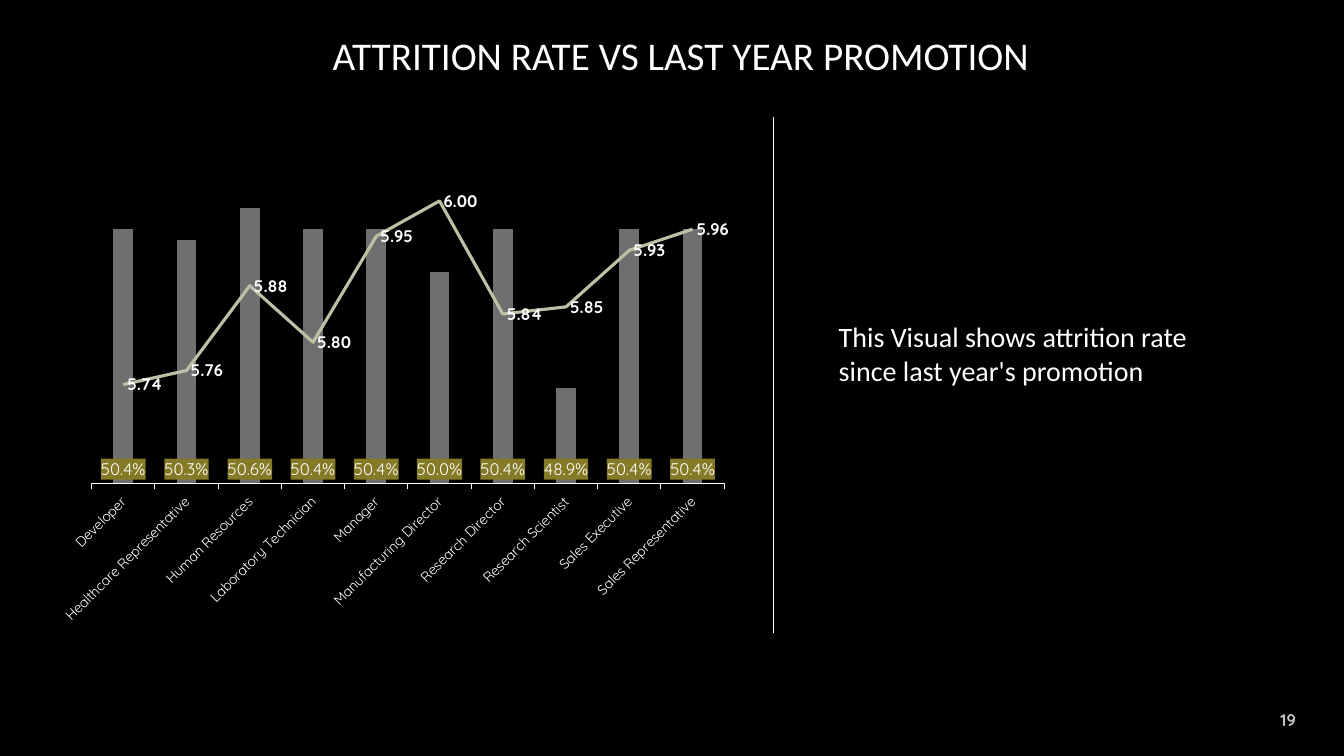
"""Builds a slide that sets attrition rate against last year's promotion."""
import pptx
import pptx.chart.data
import pptx.dml.color
import pptx.enum.chart
import pptx.enum.shapes
import pptx.enum.text
import pptx.oxml
import pptx.oxml.ns
import pptx.util

Inches, Pt = pptx.util.Inches, pptx.util.Pt
kinds = pptx.enum.chart
anchor, align = pptx.enum.text.MSO_ANCHOR, pptx.enum.text.PP_ALIGN
qn = pptx.oxml.ns.qn
names = pptx.oxml.ns.nsdecls("c", "a")
hues = {"back": "000000", "text": "FFFFFF", "page": "BFBFBF",
        "bar": "6F6F6F", "line": "BFBFA5", "label": "857A26"}


def tint(name):
    return pptx.dml.color.RGBColor.from_string(hues[name])


def style(font, face, size, hue="text", bold=False):
    looks = {"name": face, "size": Pt(size), "bold": bold}
    for key, value in looks.items():
        setattr(font, key, value)
    font.color.rgb = tint(hue)


deck = pptx.Presentation()
deck.slide_width, deck.slide_height = Inches(13.33), Inches(7.5)
slide = deck.slides.add_slide(deck.slide_layouts[6])
slide.background.fill.solid()
slide.background.fill.fore_color.rgb = tint("back")

texts = [
    ("ATTRITION RATE VS LAST YEAR PROMOTION", (3.2, 0.36, 7.44, 0.8), 0,
     anchor.TOP, align.LEFT, 0.9, ("Calibri", 28)),
    ("This Visual shows attrition rate since last year's promotion", (8.22, 3.12, 4.12, 1.2), 0.05,
     anchor.TOP, align.LEFT, 1, ("Calibri", 20)),
    ("19", (12.35, 6.94, 0.6, 0.4), 0.05,
     anchor.MIDDLE, align.RIGHT, 1, ("Quicksand", 12, "page", True)),
]
for words, place, inset, stand, side, gap, look in texts:
    frame = slide.shapes.add_textbox(*map(Inches, place)).text_frame
    frame.word_wrap = True
    frame.margin_top = Inches(inset)
    frame.vertical_anchor = stand
    para = frame.paragraphs[0]
    para.alignment, para.line_spacing = side, gap
    run = para.add_run()
    run.text = words
    style(run.font, *look)

rule = slide.shapes.add_connector(pptx.enum.shapes.MSO_CONNECTOR.STRAIGHT,
                                  Inches(7.67), Inches(1.16), Inches(7.67), Inches(6.28))
rule.line.color.rgb = tint("text")
rule.line.width = Pt(0.75)
rule._element.spPr.append(pptx.oxml.parse_xml(f"<a:effectLst {names}/>"))

data = pptx.chart.data.CategoryChartData()
data.categories = ["Developer", "Healthcare Representative", "Human Resources",
                   "Laboratory Technician", "Manager", "Manufacturing Director",
                   "Research Director", "Research Scientist", "Sales Executive",
                   "Sales Representative"]
data.add_series("Series 1", [0.504, 0.503, 0.506, 0.504, 0.504,
                             0.5, 0.504, 0.489, 0.504, 0.504], "0.0%")
data.add_series("Series 2", [5.74, 5.76, 5.88, 5.8, 5.95, 6, 5.84, 5.85, 5.93, 5.96], "0.00")
chart = slide.shapes.add_chart(kinds.XL_CHART_TYPE.COLUMN_CLUSTERED, Inches(0.5), Inches(1.5),
                               Inches(6.82), Inches(4.78), data).chart
chart.has_legend = chart.has_title = False
style(chart.font, "Quicksand", 12)

base = chart.category_axis
base.major_tick_mark = kinds.XL_TICK_MARK.OUTSIDE
base.tick_label_position = kinds.XL_TICK_LABEL_POSITION.LOW
base.format.line.color.rgb = tint("text")
base.format.line.width = Pt(0.75)
style(base.tick_labels.font, "Quicksand", 10)
base._element.find(qn("c:txPr")).find(qn("a:bodyPr")).set("rot", "-2700000")

scale = chart.value_axis
limits = {"minimum_scale": 0.48, "maximum_scale": 0.51, "major_unit": 0.005,
          "has_major_gridlines": False, "major_tick_mark": kinds.XL_TICK_MARK.OUTSIDE,
          "tick_label_position": kinds.XL_TICK_LABEL_POSITION.NONE}
for key, value in limits.items():
    setattr(scale, key, value)
scale.format.line.fill.background()

area = chart._chartSpace.chart.plotArea
for old in area.findall(qn("c:layout")):
    area.remove(old)
area.insert(0, pptx.oxml.parse_xml(
    f'<c:layout {names}><c:manualLayout><c:layoutTarget val="inner"/>'
    '<c:xMode val="edge"/><c:yMode val="edge"/><c:x val="0.06"/><c:y val="0.03"/>'
    '<c:w val="0.92"/><c:h val="0.66"/></c:manualLayout></c:layout>'))

bars = area.find(qn("c:barChart"))
trend = bars.findall(qn("c:ser"))[1]
for flag in trend.findall(qn("c:invertIfNegative")):
    trend.remove(flag)
lines = pptx.oxml.parse_xml(
    f'<c:lineChart {names}><c:grouping val="standard"/><c:varyColors val="0"/>'
    '<c:marker val="1"/><c:axId val="501"/><c:axId val="502"/></c:lineChart>')
lines.insert(2, trend)
bars.addnext(lines)
extra = [
    f'<c:valAx {names}><c:axId val="502"/><c:scaling><c:orientation val="minMax"/>'
    '<c:max val="6.05"/><c:min val="5.6"/></c:scaling><c:delete val="0"/><c:axPos val="r"/>'
    '<c:numFmt formatCode="0.00" sourceLinked="0"/><c:majorTickMark val="out"/>'
    '<c:minorTickMark val="none"/><c:tickLblPos val="none"/>'
    '<c:spPr><a:ln><a:noFill/></a:ln></c:spPr><c:crossAx val="501"/>'
    '<c:crosses val="max"/></c:valAx>',
    f'<c:catAx {names}><c:axId val="501"/><c:scaling><c:orientation val="minMax"/></c:scaling>'
    '<c:delete val="1"/><c:axPos val="b"/><c:crossAx val="502"/></c:catAx>',
]
for axis in extra:
    scale._element.addnext(pptx.oxml.parse_xml(axis))

cols, curve = chart.plots
cols.gap_width, cols.overlap = 219, -27
cols.vary_by_categories = False
bar, trace = cols.series[0], curve.series[0]
bar.format.fill.solid()
bar.format.fill.fore_color.rgb = tint("bar")
trace.smooth = False
trace.marker.style = kinds.XL_MARKER_STYLE.NONE
trace.format.line.color.rgb = tint("line")
trace.format.line.width = Pt(2.25)

spots = kinds.XL_LABEL_POSITION
for row, form, spot, bold in [(bar, "0.0%", spots.INSIDE_BASE, False),
                              (trace, "0.00", spots.RIGHT, True)]:
    tags = row.data_labels
    facts = {"show_value": True, "number_format": form,
             "number_format_is_linked": False, "position": spot}
    for key, value in facts.items():
        setattr(tags, key, value)
    style(tags.font, "Quicksand", 12, "text", bold)
bar.data_labels._element.find(qn("c:numFmt")).addnext(pptx.oxml.parse_xml(
    f'<c:spPr {names}><a:solidFill><a:srgbClr val="{hues["label"]}"/></a:solidFill></c:spPr>'))

deck.save("out.pptx")
